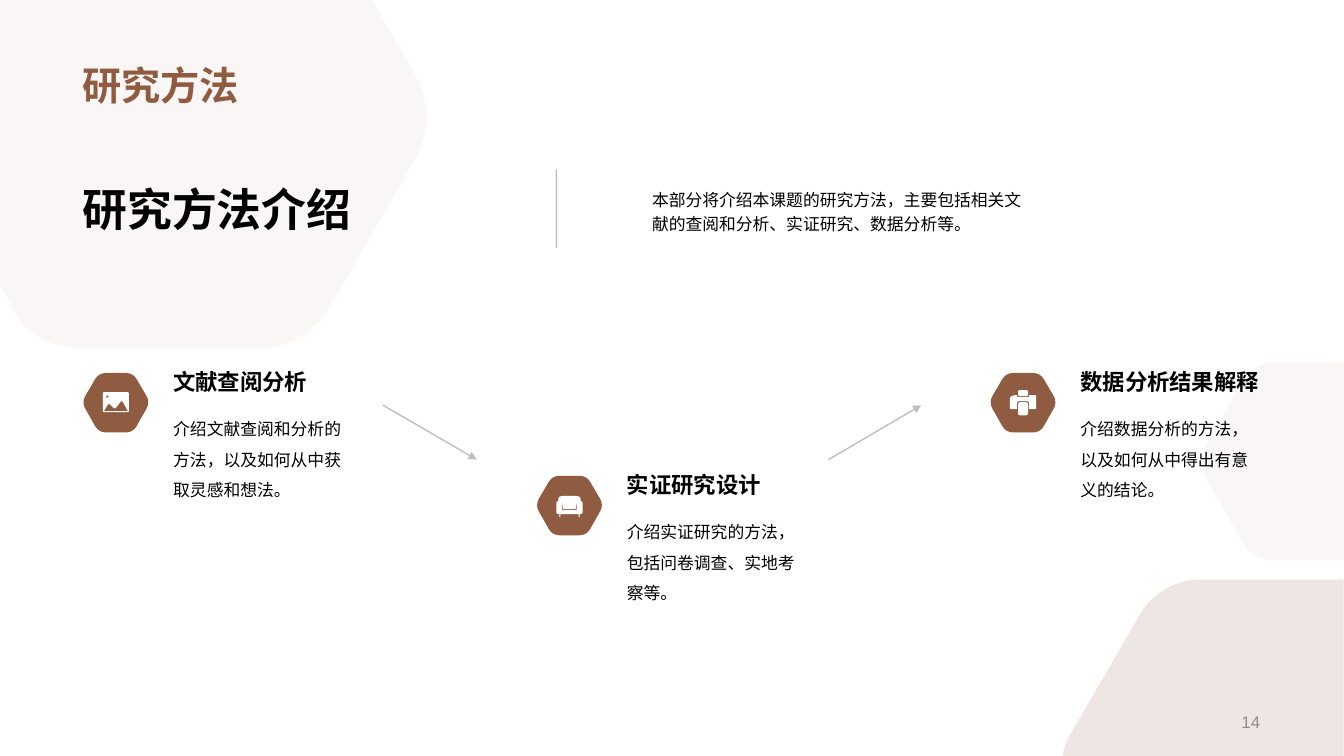
from lxml import etree
from pptx import Presentation
from pptx import util as u
from pptx.dml.color import RGBColor
from pptx.enum import shapes, text
from pptx.oxml.ns import qn

BROWN, BLACK, WHITE, GREY = "905C41", "000000", "FFFFFF", "808080"
ANCHOR, ALIGN = text.MSO_ANCHOR, text.PP_ALIGN
CURVE = 0.62  # how far a curve's handles reach towards the sharp corner

prs = Presentation()
prs.slide_width, prs.slide_height = u.Inches(40 / 3), u.Inches(7.5)
slide = prs.slides.add_slide(prs.slide_layouts[6])


def paint(target, color, opacity=100):
    """Colour a solid fill or a gradient stop, with an opacity in percent."""
    if hasattr(target, "solid"):
        target.solid()
        target, holder = target.fore_color, target._xPr
    else:
        target, holder = target.color, target._gs
    target.rgb = RGBColor.from_string(color)
    if opacity < 100:
        rgb = holder.find(".//" + qn("a:srgbClr"))
        etree.SubElement(rgb, qn("a:alpha"), val=str(opacity * 1000))


def add_text(words, left, top, width, height, size=12, color=BLACK, bold=False,
             anchor=ANCHOR.TOP, align=ALIGN.LEFT, spacing=1.0):
    box = slide.shapes.add_textbox(*map(u.Inches, (left, top, width, height)))
    frame = box.text_frame
    frame.word_wrap, frame.vertical_anchor = True, anchor
    paragraph = frame.paragraphs[0]
    paragraph.alignment, paragraph.line_spacing = align, spacing
    run = paragraph.add_run()
    run.text = words
    run.font.name, run.font.size, run.font.bold = "Arial", u.Pt(size), bold
    run.font.color.rgb = RGBColor.from_string(color)


base = slide.shapes.add_shape(shapes.MSO_SHAPE.RECTANGLE, 0, 0,
                              prs.slide_width, prs.slide_height)
base.shadow.inherit = False
base.line.fill.background()
base.fill.gradient()
base.fill.gradient_angle = 315
for stop, position, opacity in zip(base.fill.gradient_stops, (0.56, 1), (100, 70)):
    stop.position = position
    paint(stop, WHITE, opacity)

# Each outline is a list of contours; a corner is (x, y) or (x, y, rounding).
def box_contour(x1, y1, x2, y2, r=0):
    return [(x1, y1, r), (x2, y1, r), (x2, y2, r), (x1, y2, r)]


backdrop = [
    ([(0, 0), (3.69, 0), (4.36, 1.16, 0.49), (3.03, 3.46, 0.49),
      (0.36, 3.46, 0.49), (0, 2.83)], 5),
    ([(11.51, 5.75, 0.4), (13.33, 5.75), (13.33, 7.5), (10.54, 7.5),
      (10.56, 7.41), (10.61, 7.3)], 15),
    ([(12.43, 3.6, 0.21), (13.33, 3.6), (13.33, 5.56), (12.43, 5.56, 0.21),
      (11.87, 4.58, 0.21)], 5),
]
hexagon = [(-0.17, -0.29, 0.07), (0.17, -0.29, 0.07), (0.34, 0, 0.07),
           (0.17, 0.3, 0.07), (-0.17, 0.3, 0.07), (-0.34, 0, 0.07)]
landscape = [
    box_contour(-0.13, -0.1, 0.13, 0.1, 0.01),
    [(-0.12, 0.09), (-0.07, 0.01, 0.02), (-0.01, 0.07, 0.02),
     (0.06, -0.02, 0.02), (0.12, 0.09)],
    box_contour(-0.1, -0.07, -0.07, -0.04, 0.02),
]
sofa = [
    [(-0.13, -0.04, 0.02), (-0.08, -0.04, 0.02), (-0.07, 0.05), (0.07, 0.05),
     (0.08, -0.04, 0.02), (0.13, -0.04, 0.02), (0.13, 0.09, 0.02), (0.1, 0.09),
     (0.1, 0.12), (0.09, 0.12), (0.09, 0.09), (-0.09, 0.09), (-0.09, 0.12),
     (-0.1, 0.12), (-0.1, 0.09), (-0.13, 0.09, 0.02)],
    [(-0.11, -0.09, 0.04), (0.11, -0.09, 0.04), (0.11, -0.04),
     (0.08, -0.04, 0.02), (0.06, 0.04), (-0.06, 0.04), (-0.08, -0.04, 0.02),
     (-0.11, -0.04)],
]
printer = [
    box_contour(-0.05, 0, 0.05, 0.13, 0.02),
    [(-0.13, -0.05, 0.01), (-0.09, -0.07, 0.01), (-0.06, -0.07),
     (-0.06, -0.05, 0.02), (0.06, -0.05, 0.02), (0.06, -0.07),
     (0.13, -0.07, 0.01), (0.13, 0.07, 0.01), (0.06, 0.07), (0.06, -0.01, 0.02),
     (-0.06, -0.01, 0.02), (-0.06, 0.07), (-0.13, 0.07, 0.01)],
    box_contour(-0.05, -0.12, 0.05, -0.06, 0.01),
]

steps = [
    (3.7, landscape, "文献查阅分析", "介绍文献查阅和分析的方法，以及如何从中获取灵感和想法。"),
    (4.72, sofa, "实证研究设计", "介绍实证研究的方法，包括问卷调查、实地考察等。"),
    (3.7, printer, "数据分析结果解释", "介绍数据分析的方法，以及如何从中得出有意义的结论。"),
]

outlines = [([contour], (0, 0), BROWN, opacity) for contour, opacity in backdrop]
for number, (top, icon, heading, detail) in enumerate(steps):
    center = (1.15 + 4.5 * number, top + 0.29)
    outlines += [([hexagon], center, BROWN, 100), (icon, center, WHITE, 100)]

for contours, (dx, dy), color, opacity in outlines:
    builder = None
    handles = []  # one entry per point: the handles of the curve it lies on
    for contour in contours:
        points = []
        for i, (x, y, *rounding) in enumerate(contour):
            if not any(rounding):
                points.append((x, y))
                handles.append(None)
                continue
            ends, reach = [], []
            for nx, ny, *_ in (contour[i - 1], contour[(i + 1) % len(contour)]):
                length = ((nx - x) ** 2 + (ny - y) ** 2) ** 0.5
                share = min(rounding[0] / length, 0.5)
                ends.append((x + (nx - x) * share, y + (ny - y) * share))
                share *= 1 - CURVE
                reach.append((x + (nx - x) * share + dx, y + (ny - y) * share + dy))
            middle = [(a + b) / 8 + 3 * (c + d - 2 * shift) / 8
                      for a, b, c, d, shift in zip(*ends, *reach, (dx, dy))]
            points += [ends[0], middle, ends[1]]
            handles += [None, reach, None]
        points = [(u.Inches(x + dx), u.Inches(y + dy)) for x, y in points]
        if builder is None:
            builder = slide.shapes.build_freeform(*points[0])
        else:
            builder.move_to(*points[0])
        builder.add_line_segments(points[1:], close=True)
    outline = builder.convert_to_shape()
    outline.shadow.inherit = False
    outline.line.fill.background()
    paint(outline.fill, color, opacity)

    # Turn each middle point and the end after it into one Bézier curve.
    drawn = next(outline._element.iter(qn("a:path")))
    moves = [move for move in drawn if move.tag != qn("a:close")]
    for move, following, reach in zip(moves, moves[1:], handles):
        if reach:
            curve = etree.Element(qn("a:cubicBezTo"))
            for x, y in reach:
                etree.SubElement(curve, qn("a:pt"), x=str(u.Inches(x) - outline.left),
                                 y=str(u.Inches(y) - outline.top))
            curve.append(following[0])
            drawn.replace(move, curve)
            drawn.remove(following)

for number, (top, icon, heading, detail) in enumerate(steps):
    left = 1.62 + 4.5 * number
    add_text(heading, left, top - 0.1, 2.01, 0.37, size=16, bold=True,
             anchor=ANCHOR.BOTTOM)
    add_text(detail, left, top + 0.31, 2.01, 1.2, spacing=1.5)

for x1, y1, x2, y2, arrow in [(3.8, 4.02, 4.73, 4.56, True),
                              (8.22, 4.56, 9.14, 4.02, True),
                              (5.52, 1.68, 5.52, 2.46, False)]:
    rule = slide.shapes.add_connector(shapes.MSO_CONNECTOR.STRAIGHT,
                                      *map(u.Inches, (x1, y1, x2, y2)))
    rule.line.width = u.Pt(1)
    paint(rule.line.fill, GREY, 50)
    if arrow:
        etree.SubElement(rule.line._get_or_add_ln(), qn("a:tailEnd"), type="triangle")
    etree.SubElement(rule._element.spPr, qn("a:effectLst"))

add_text("研究方法", 0.72, 0, 11.88, 1.12, size=28, color=BROWN, bold=True,
         anchor=ANCHOR.BOTTOM)
add_text("研究方法介绍", 0.72, 1.74, 4.23, 0.66, size=32, bold=True,
         anchor=ANCHOR.MIDDLE)
add_text("本部分将介绍本课题的研究方法，主要包括相关文献的查阅和分析、实证研究、数据分析等。",
         6.37, 1.79, 3.98, 0.56, spacing=1.2)
add_text("14", 8.6, 7.01, 4, 0.3, color="8C8C8C", anchor=ANCHOR.MIDDLE,
         align=ALIGN.RIGHT)

prs.save("out.pptx")
